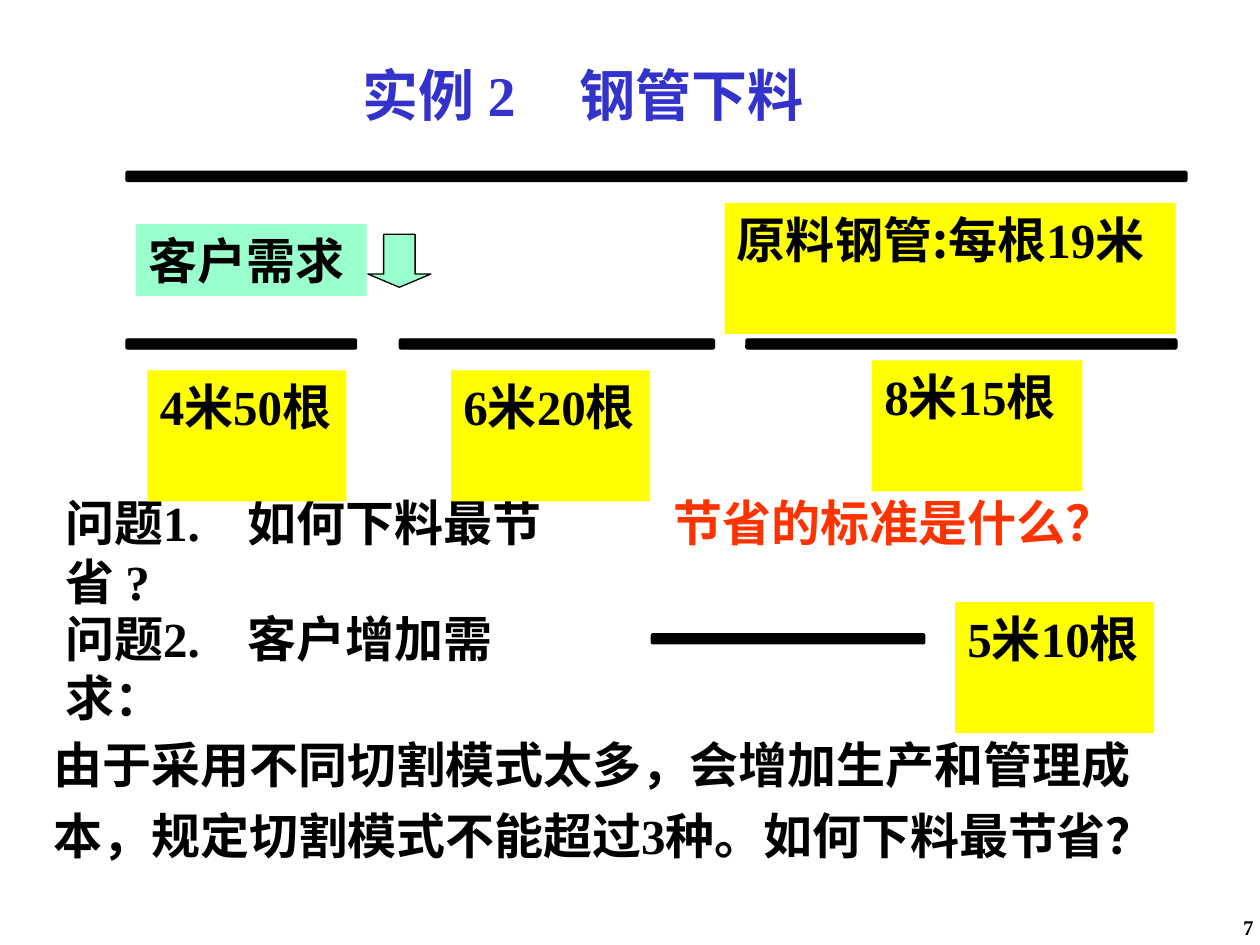
from itertools import groupby

from lxml.etree import SubElement
from pptx import Presentation
from pptx.dml.color import RGBColor
from pptx.enum.shapes import MSO_SHAPE as Preset
from pptx.enum.text import MSO_ANCHOR as Anchor, MSO_AUTO_SIZE as AutoSize, PP_ALIGN as Align
from pptx.oxml.ns import qn
from pptx.util import Inches, Pt

LATIN, CJK = "Times New Roman", "Noto Sans CJK SC"
BLACK, YELLOW, MINT, RED, BLUE = "000000", "FFFF00", "99FFCC", "FF3300", "3333CC"
PIPE_HEIGHT = 0.08
LINE_HEIGHT, TWO_LINES = 0.57, 1.04


def rgb(value):
    return RGBColor.from_string(value)


def inches(*lengths):
    return [Inches(length) for length in lengths]


def write(shape, text, size=28, color=BLACK, tab=None, wrap=True,
          split_digits=False, **paragraph_format):
    """Fill a shape with one bold paragraph, optionally with digits in their own runs."""
    frame = shape.text_frame
    frame_format = {"word_wrap": wrap, "auto_size": AutoSize.NONE,
                    "vertical_anchor": Anchor.TOP}
    for name, value in frame_format.items():
        setattr(frame, name, value)
    paragraph = frame.paragraphs[0]
    for name, value in {"alignment": Align.LEFT, **paragraph_format}.items():
        setattr(paragraph, name, value)
    properties = paragraph._p.get_or_add_pPr()
    properties.set("hangingPunct", "0")
    if tab:
        stops = SubElement(properties, qn("a:tabLst"))
        SubElement(stops, qn("a:tab"), pos=str(Inches(tab)), algn="l")

    pieces = [(LATIN, text)]
    if split_digits:
        pieces = [(LATIN if is_digit else CJK, "".join(chars))
                  for is_digit, chars in groupby(text, str.isdigit)]
    for typeface, piece in pieces:
        run = paragraph.add_run()
        run.text = piece
        for name, value in {"name": typeface, "size": Pt(size), "bold": True}.items():
            setattr(run.font, name, value)
        run.font.color.rgb = rgb(color)
        SubElement(run._r.get_or_add_rPr(), qn("a:ea"), typeface=CJK)


def add_text(slide, box, text, **text_format):
    write(slide.shapes.add_textbox(*inches(*box)), text, **text_format)


def add_block(slide, preset, box, fill, outline=None):
    block = slide.shapes.add_shape(preset, *inches(*box))
    block.shadow.inherit = False
    block.fill.solid()
    block.fill.fore_color.rgb = rgb(fill)
    if outline:
        block.line.color.rgb = rgb(outline)
        block.line.width = Pt(0.75)
    else:
        block.line.fill.background()
    return block


def add_label(slide, box, text, fill=YELLOW, **text_format):
    write(add_block(slide, Preset.RECTANGLE, box, fill), text, **text_format)


def add_pipe(slide, left, top, length, label, label_box):
    """Draw a steel pipe with a label whose box is relative to the pipe's corner."""
    add_block(slide, Preset.ROUNDED_RECTANGLE, (left, top, length, PIPE_HEIGHT),
              BLACK, BLACK)
    dx, dy, width, height = label_box
    add_label(slide, (left + dx, top + dy, width, height), label, split_digits=True)


def add_title(slide, box):
    title = slide.shapes.title
    title.left, title.top, title.width, title.height = inches(*box)
    write(title, "实例 2\t钢管下料", size=32, color=BLUE, tab=1.72)


def add_questions(slide, left, top):
    for offset, height, question in (
        (0, TWO_LINES, "问题1.\t如何下料最节省 ?"),
        (0.92, LINE_HEIGHT, "问题2.\t客户增加需求："),
    ):
        add_text(slide, (left, top + offset, 4.2, height), question, tab=1.45)
    add_text(slide, (left + 4.83, top, 3.83, LINE_HEIGHT), "节省的标准是什么？", color=RED)


def add_demand(slide, left, top):
    """Place the customer demand heading, its arrow and the three pipes below."""
    add_block(slide, Preset.DOWN_ARROW, (left + 1.92, top + 0.08, 0.5, 0.42), MINT,
              BLACK).adjustments[1] = 0.25
    add_label(slide, (left + 0.08, top, 1.83, LINE_HEIGHT), "客户需求", fill=MINT)
    for offset, length, label, label_box in (
        (0, 1.83, "4米50根", (0.17, 0.25, 1.58, TWO_LINES)),
        (2.17, 2.5, "6米20根", (0.41, 0.25, 1.58, TWO_LINES)),
        (4.92, 3.42, "8米15根", (1, 0.17, 1.67, TWO_LINES)),
    ):
        add_pipe(slide, left + offset, top + 0.91, length, label, label_box)


def add_page_number(slide, box):
    number = slide.shapes.add_textbox(*inches(*box))
    frame = number.text_frame
    for side, margin in {"left": 0.02, "right": 0.02, "top": 0.01, "bottom": 0.01}.items():
        setattr(frame, f"margin_{side}", Inches(margin))
    write(number, "7", size=12, alignment=Align.RIGHT)


def main():
    deck = Presentation()
    deck.slide_width, deck.slide_height = inches(10, 7.5)
    slide = deck.slides.add_slide(deck.slide_layouts[5])

    add_page_number(slide, (9.6, 7.25, 0.37, 0.22))
    add_title(slide, (2.78, 0.43, 4, 0.63))
    add_questions(slide, 0.42, 3.86)
    add_pipe(slide, 1, 1.36, 8.42, "原料钢管:每根19米", (4.75, 0.25, 3.58, TWO_LINES))
    add_demand(slide, 1, 1.78)
    add_text(slide, (0.33, 5.69, 9.3, 1.22),
             "由于采用不同切割模式太多，会增加生产和管理成本，规定切割模式不能超过3种。如何下料最节省？",
             line_spacing=1.2)
    add_pipe(slide, 5.17, 5.03, 2.17, "5米10根", (2.41, -0.25, 1.58, TWO_LINES))

    deck.save("out.pptx")


if __name__ == "__main__":
    main()
